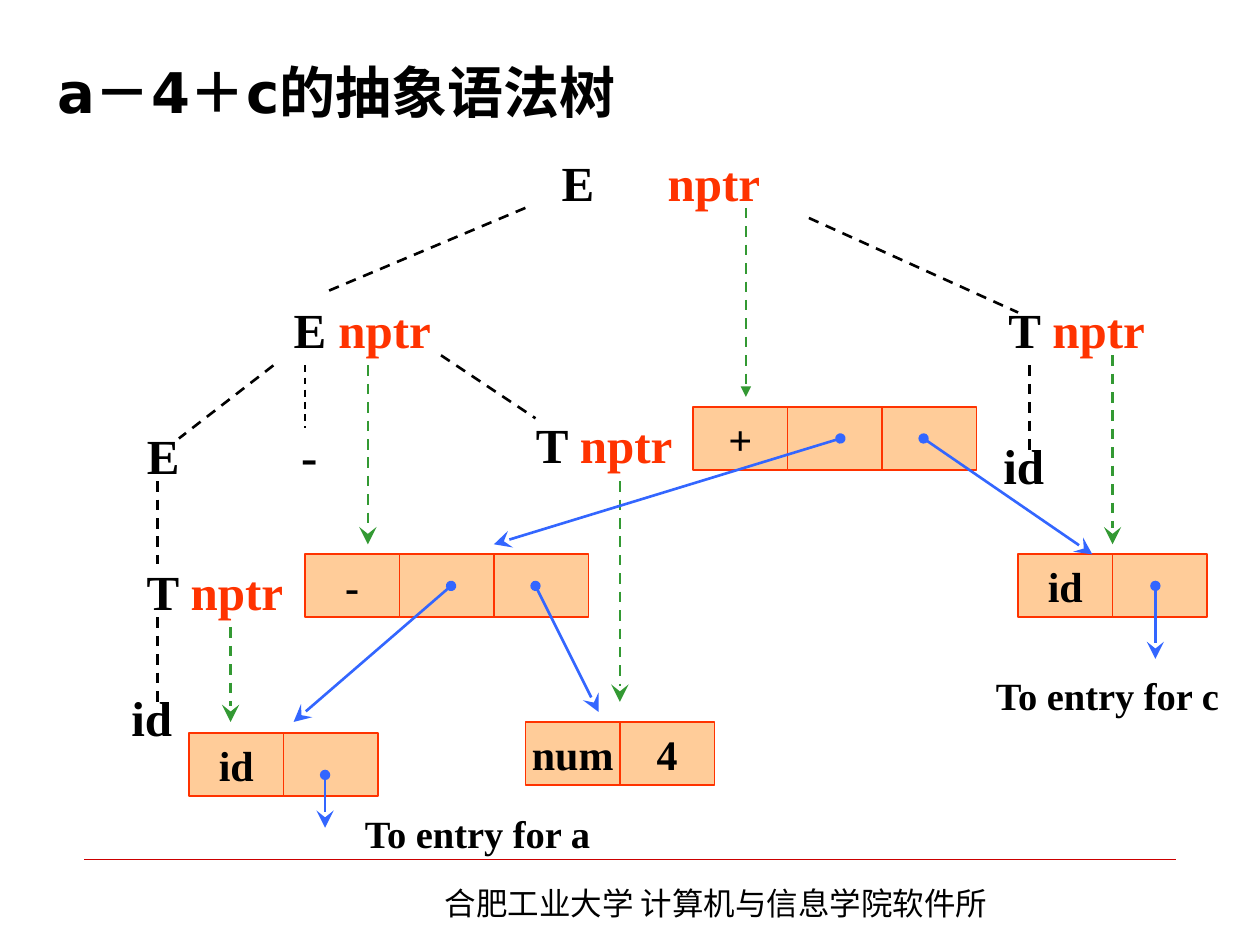
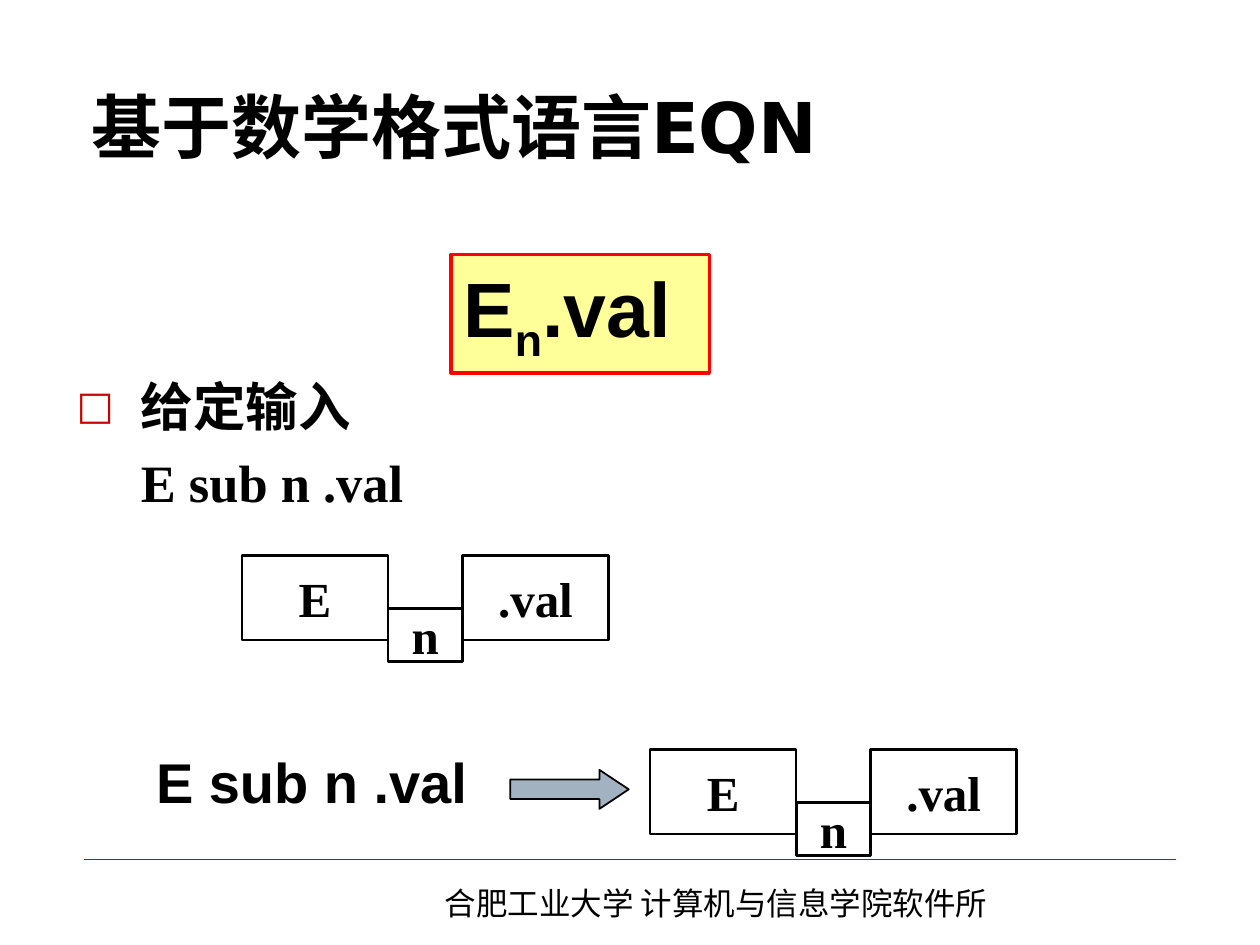
import lxml.etree
import pptx
import pptx.dml.color
import pptx.enum.dml
import pptx.enum.shapes
import pptx.enum.text
import pptx.oxml.ns
import pptx.util

Inches = pptx.util.Inches
SHAPES = pptx.enum.shapes.MSO_SHAPE
ALIGN = pptx.enum.text.PP_ALIGN
ANCHOR = pptx.enum.text.MSO_ANCHOR

BLACK, RED, ORANGE, PEACH = "000000", "CC0000", "FF3300", "FFCC99"
GREEN, BLUE, YELLOW, STEEL = "339933", "3366FF", "FFFF99", "A3B2C1"
SERIF, SANS, TITLE_FONT, CHINESE = "Times New Roman", "Arial", "DejaVu Sans", "Noto Sans CJK SC"
CELL_WIDTH, CELL_HEIGHT = 0.75, 0.5
LABEL_WIDTH, LABEL_HEIGHT = 1.25, 0.58


def color(value):
    """Turn a hex string into a colour."""
    return pptx.dml.color.RGBColor.from_string(value)


def add_xml(parent, tag, **attributes):
    """Append one drawing element to a parent."""
    return lxml.etree.SubElement(parent, pptx.oxml.ns.qn(tag), attributes)


def write_text(shape, runs, size=28, font=SERIF, bold=True, align=ALIGN.CENTER,
               anchor=ANCHOR.MIDDLE, wrap=False, space_before=0, new_paragraph=False):
    """Write a paragraph of (text, colour, baseline) runs and return it."""
    frame = shape.text_frame
    frame.word_wrap = wrap
    frame.vertical_anchor = anchor
    paragraph = frame.add_paragraph() if new_paragraph else frame.paragraphs[0]
    paragraph.alignment = align
    paragraph.space_before = pptx.util.Pt(space_before)
    for text, hue, baseline in [(runs, BLACK, 0)] if isinstance(runs, str) else runs:
        run = paragraph.add_run()
        run.text = text
        run.font.size = pptx.util.Pt(size)
        run.font.bold = bold
        run.font.name = font
        run.font.color.rgb = color(hue)
        properties = run.font._element
        add_xml(properties, "a:ea", typeface=CHINESE)
        if baseline:
            properties.set("baseline", str(baseline * 1000))
    return paragraph


def add_text(shapes, box, runs, **text_format):
    """Add a text box with one paragraph."""
    shape = shapes.add_textbox(*map(Inches, box))
    write_text(shape, runs, **text_format)
    return shape


def add_box(shapes, box, line, width, fill=None, kind=SHAPES.RECTANGLE):
    """Add an outlined preset shape without a shadow."""
    shape = shapes.add_shape(kind, *map(Inches, box))
    shape.shadow.inherit = False
    shape.line.color.rgb = color(line)
    shape.line.width = pptx.util.Pt(width)
    if fill:
        shape.fill.solid()
        shape.fill.fore_color.rgb = color(fill)
    else:
        shape.fill.background()
    return shape


def add_line(shapes, start, end, hue=BLACK, width=1.5, dashed=False, head=None, tail=None):
    """Add a straight line with optional dashes and ends."""
    line = shapes.add_connector(pptx.enum.shapes.MSO_CONNECTOR.STRAIGHT,
                                *map(Inches, (*start, *end)))
    line.line.color.rgb = color(hue)
    line.line.width = pptx.util.Pt(width)
    if dashed:
        line.line.dash_style = pptx.enum.dml.MSO_LINE.DASH
    outline = line.line._get_or_add_ln()
    for tag, kind in (("a:headEnd", head), ("a:tailEnd", tail)):
        if kind:
            scale = "lg" if kind == "stealth" else "med"
            add_xml(outline, tag, type=kind, w=scale, len=scale)
    add_xml(line._element.spPr, "a:effectLst")


def add_frame(presentation, title, box, size):
    """Add a slide with its footer and title."""
    slide = presentation.slides.add_slide(presentation.slide_layouts[6])
    add_line(slide.shapes, (0.67, 6.82), (9.33, 6.82), RED, 0.25)
    add_text(slide.shapes, (3.43, 6.97, 5.2, 0.4), "合肥工业大学 计算机与信息学院软件所",
             size=18, font=CHINESE, bold=False, align=ALIGN.LEFT, anchor=ANCHOR.TOP,
             wrap=True, space_before=11.2)
    add_text(slide.shapes, box, title, size=size, font=TITLE_FONT, align=ALIGN.LEFT, wrap=True)
    return slide.shapes


def add_grammar_symbol(shapes, left, top, symbol, pointer=True):
    """Add a parse-tree symbol, with its node pointer if it has one."""
    runs = [(symbol + " ", BLACK, 0), ("nptr", ORANGE, 0)] if pointer else symbol
    label = add_text(shapes, (left, top, LABEL_WIDTH, LABEL_HEIGHT), runs)
    label.text_frame.margin_left = label.text_frame.margin_right = 0


def add_root_symbol(shapes, left, top):
    """Add the root symbol with its pointer set off by a tab."""
    shape = add_text(shapes, (left, top, 1.8, LABEL_HEIGHT),
                     [("E\t", BLACK, 0), ("nptr", ORANGE, 0)], align=ALIGN.LEFT)
    properties = shape.text_frame.paragraphs[0]._p.get_or_add_pPr()
    stops = add_xml(properties, "a:tabLst")
    add_xml(stops, "a:tab", pos=str(Inches(0.84)), algn="l")


def add_record(shapes, left, top, fields):
    """Add a syntax-tree node as a row of joined cells."""
    group = shapes.add_group_shape()
    for index, field in enumerate(fields):
        cell = add_box(group.shapes, (left + index * CELL_WIDTH, top, CELL_WIDTH, CELL_HEIGHT),
                       ORANGE, 1, PEACH)
        if field:
            write_text(cell, field, size=24)


def add_syntax_tree(shapes):
    """Draw the parse tree, the syntax-tree nodes and the links between them."""
    branches = [((4.17, 1.65), (2.58, 2.32)), ((2.17, 2.9), (1.42, 3.48)),
                ((6.42, 1.73), (8.08, 2.48)), ((1.25, 3.82), (1.25, 4.48)),
                ((1.25, 4.9), (1.25, 5.57)), ((3.5, 2.82), (4.25, 3.32)),
                ((8.17, 2.9), (8.17, 3.57))]
    for start, end in branches:
        add_line(shapes, start, end, dashed=True)
    add_line(shapes, (2.42, 2.9), (2.42, 3.4), width=1, dashed=True)

    add_root_symbol(shapes, 4.36, 1.15)
    for left, top, symbol in [(2.25, 2.32, "E"), (7.92, 2.32, "T"),
                              (1.08, 4.4, "T"), (4.17, 3.23, "T")]:
        add_grammar_symbol(shapes, left, top, symbol)
    for left, top, symbol in [(0.67, 3.32, "E"), (0.58, 5.4, "id"),
                              (1.83, 3.32, "-"), (7.5, 3.4, "id")]:
        add_grammar_symbol(shapes, left, top, symbol, pointer=False)
    for left, top, name in [(2.75, 6.32, "a"), (7.75, 5.23, "c")]:
        add_text(shapes, (left, top, 2.08, LABEL_HEIGHT), f"To entry for {name}", size=22)

    for left, top, fields in [(8.08, 4.4, ("id", "")), (2.42, 4.4, ("-", "", "")),
                              (1.5, 5.82, ("id", "")), (4.17, 5.73, ("num", "4")),
                              (5.5, 3.23, ("+", "", ""))]:
        add_record(shapes, left, top, fields)

    for x, top, bottom, tail in [(5.92, 1.65, 3.15, "triangle"), (2.92, 2.9, 4.32, "stealth"),
                                 (4.92, 3.82, 5.57, "stealth"), (8.83, 2.82, 4.32, "stealth"),
                                 (1.83, 4.98, 5.73, "stealth")]:
        add_line(shapes, (x, top), (x, bottom), GREEN, dashed=True, tail=tail)
    child_links = [((3.58, 4.65), (2.33, 5.73)), ((4.25, 4.65), (4.75, 5.65)),
                   ((6.67, 3.48), (3.92, 4.32)), ((7.33, 3.48), (8.67, 4.4)),
                   ((2.58, 6.15), (2.58, 6.57)), ((9.17, 4.65), (9.17, 5.23))]
    for start, end in child_links:
        add_line(shapes, start, end, BLUE, head="oval", tail="stealth")


def add_subscript_boxes(shapes, left, top):
    """Draw the three boxes that lay out a subscripted expression."""
    group = shapes.add_group_shape()
    for text, across, down, width, height in [("E", 0, 0, 1.16, 0.67),
                                              ("n", 1.16, 0.42, 0.59, 0.42),
                                              (".val", 1.75, 0, 1.16, 0.67)]:
        box = add_box(group.shapes, (left + across, top + down, width, height), BLACK, 1.5)
        write_text(box, text)


def add_given_input(shapes, box):
    """Add the bulleted heading and the input line below it."""
    body_format = dict(size=30, align=ALIGN.LEFT, anchor=ANCHOR.TOP, wrap=True, space_before=7.5)
    body = shapes.add_textbox(*map(Inches, box))
    heading = write_text(body, "给定输入", **body_format)
    entry = write_text(body, "E sub n .val", new_paragraph=True, **body_format)
    indent = Inches(0.51)
    for paragraph, first_line in ((heading, -indent), (entry, 0)):
        properties = paragraph._p.get_or_add_pPr()
        properties.set("marL", str(indent))
        properties.set("indent", str(first_line))
    bullet = heading._p.get_or_add_pPr()
    add_xml(add_xml(bullet, "a:buClr"), "a:srgbClr", val=RED)
    add_xml(bullet, "a:buSzPct", val="75000")
    add_xml(bullet, "a:buFont", typeface=TITLE_FONT)
    add_xml(bullet, "a:buChar", char="□")


def add_eqn_example(shapes):
    """Draw the expression, its input and the translation into boxes."""
    add_given_input(shapes, (0.51, 2.92, 9, 1.26))
    add_subscript_boxes(shapes, 1.92, 4.41)
    result = add_box(shapes, (3.58, 2.02, 2.05, 0.94), "FF0000", 2, YELLOW)
    write_text(result, [("E", BLACK, 0), ("n", BLACK, -25), (".val", BLACK, 0)],
               size=44, font=SANS, align=ALIGN.LEFT, anchor=ANCHOR.TOP, wrap=True)
    add_subscript_boxes(shapes, 5.16, 5.95)
    add_text(shapes, (1.14, 5.88, 2.67, 0.64), "E sub n .val", size=32, font=SANS,
             align=ALIGN.LEFT, anchor=ANCHOR.TOP)
    arrow = add_box(shapes, (4.05, 6.11, 0.94, 0.31), BLACK, 1, STEEL, SHAPES.RIGHT_ARROW)
    arrow.adjustments[1] = 0.75


def main():
    """Build and save the two slides."""
    presentation = pptx.Presentation()
    presentation.slide_width, presentation.slide_height = Inches(10), Inches(7.5)
    add_syntax_tree(add_frame(presentation, " a－4＋c的抽象语法树", (0.2, 0.21, 8.75, 1.02), 32))
    add_eqn_example(add_frame(presentation, "基于数学格式语言EQN", (0.63, 0.33, 8.75, 1.33), 40))
    presentation.save("out.pptx")


if __name__ == "__main__":
    main()
